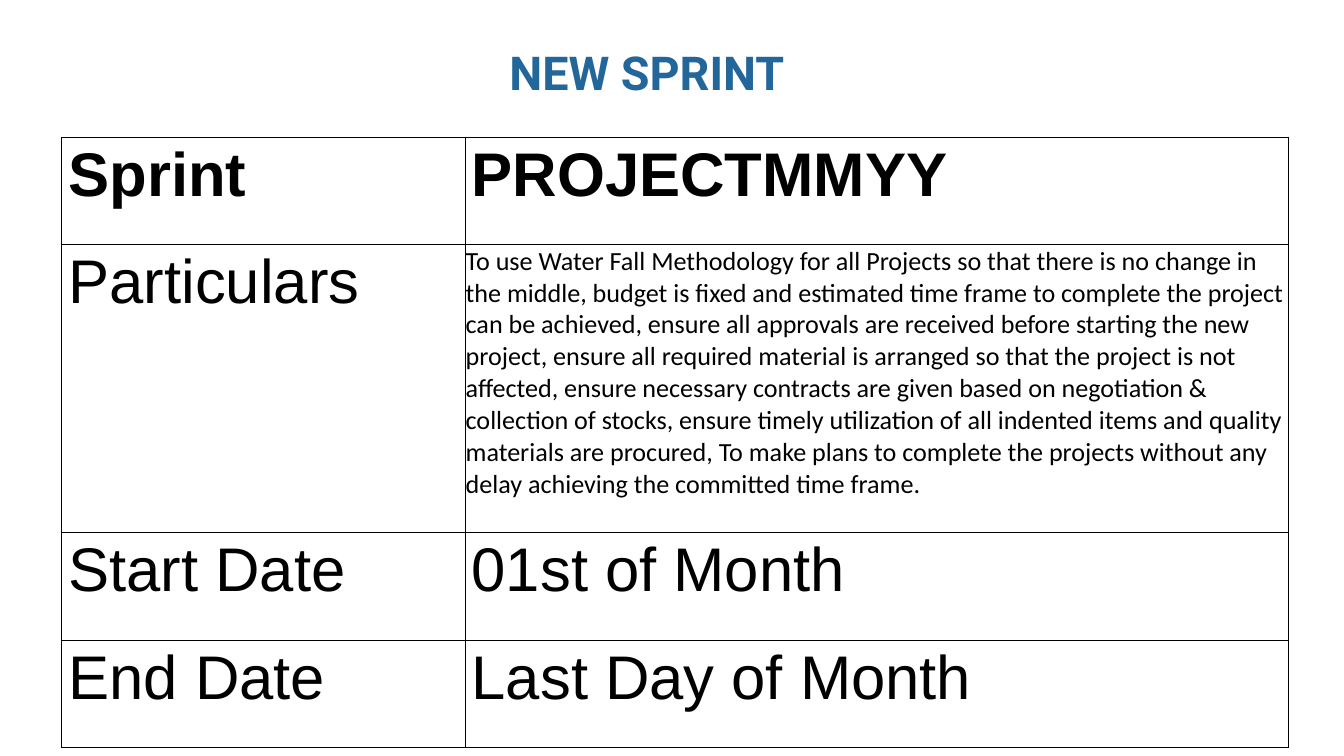
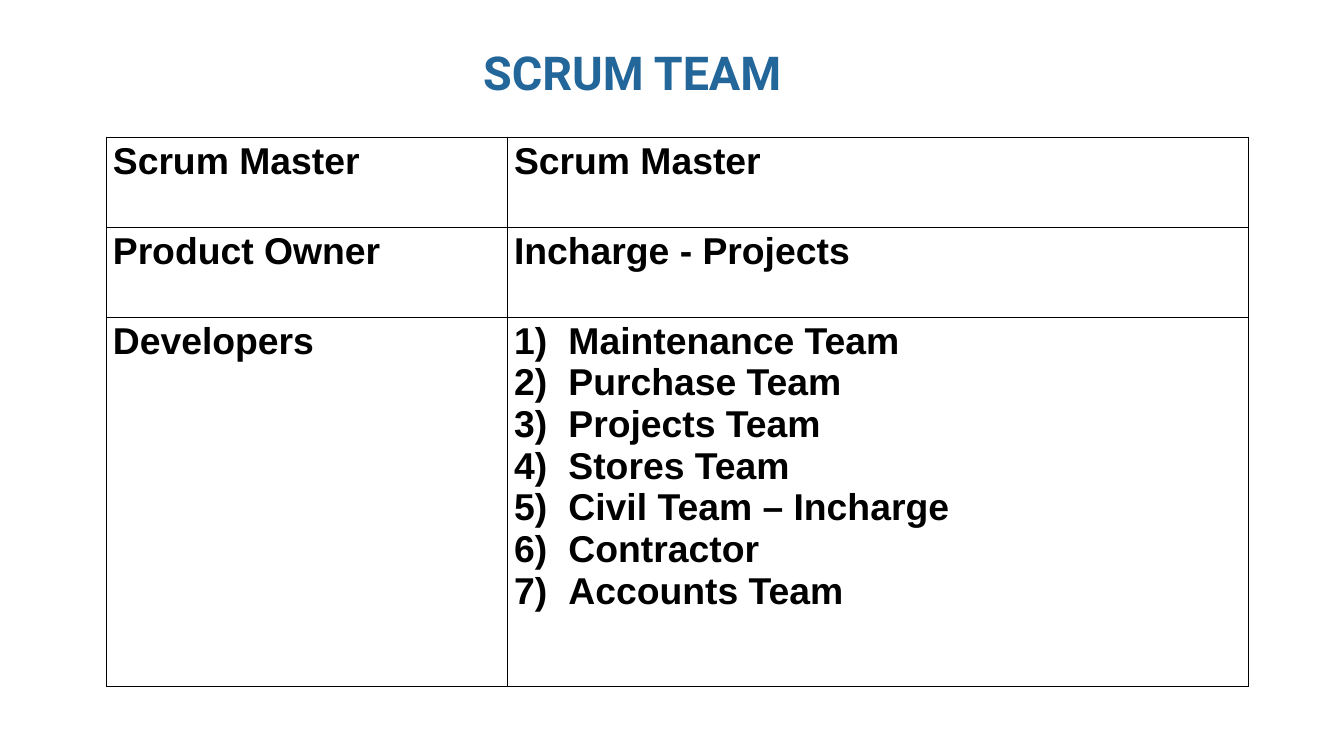
"""Build the sprint plan and scrum team slides."""
from dataclasses import dataclass

from lxml import etree
from pptx import Presentation
from pptx.dml.color import RGBColor
from pptx.enum.text import MSO_AUTO_SIZE
from pptx.oxml.ns import qn
from pptx.util import Inches, Pt

GROW = MSO_AUTO_SIZE.SHAPE_TO_FIT_TEXT


@dataclass(frozen=True)
class Theme:
    blue: RGBColor = RGBColor(0x23, 0x66, 0x99)
    black: RGBColor = RGBColor(0, 0, 0)
    white: RGBColor = RGBColor(255, 255, 255)
    title_font: str = "Roboto"
    table_font: str = "Arial"
    note_font: str = "Calibri"
    title_size: int = 50
    sprint_size: int = 66
    team_size: int = 40
    note_size: int = 28


theme = Theme()
prs = Presentation()
prs.slide_width, prs.slide_height = Inches(20), Inches(11.25)
COL, ROW = prs.slide_width / 100, prs.slide_height / 100
TITLE_TOP, TITLE_HEIGHT, TABLE_TOP = 5.78, 7.64, 18.13
INDENT = Inches(0.81)


def style(p, font, size, color, bold):
    for r in p.runs:
        r.font.name, r.font.size, r.font.bold = font, Pt(size), bold
        r.font.color.rgb = color


def frame_cell(cell):
    tcPr = cell._tc.get_or_add_tcPr()
    for side in ("lnL", "lnR", "lnT", "lnB"):
        ln = etree.SubElement(tcPr, qn(f"a:{side}"), w=str(Pt(1)))
        fill = etree.SubElement(ln, qn("a:solidFill"))
        etree.SubElement(fill, qn("a:srgbClr"), val=str(theme.black))
    cell.fill.solid()
    cell.fill.fore_color.rgb = theme.white


particulars = (
    "To use Water Fall Methodology for all Projects so that there is no change in the middle, "
    "budget is fixed and estimated time frame to complete the project can be achieved, "
    "ensure all approvals are received before starting the new project, "
    "ensure all required material is arranged so that the project is not affected, "
    "ensure necessary contracts are given based on negotiation & collection of stocks, "
    "ensure timely utilization of all indented items and quality materials are procured, "
    "To make plans to complete the projects without any delay achieving the committed time frame."
)
developers = ["Maintenance Team", "Purchase Team", "Projects Team", "Stores Team",
              "Civil Team – Incharge", "Contractor", "Accounts Team"]

pages = [
    dict(title="NEW SPRINT", title_left=37.9, title_width=26.15,
         left=4.6, cols=(30, 61.25), heights=(14.22, 38.13, 14.22, 14.22),
         size=theme.sprint_size, bold_rows=1,
         rows=[("Sprint", "PROJECTMMYY"), ("Particulars", particulars),
               ("Start Date", "01st of Month"), ("End Date", "Last Day of Month")]),
    dict(title="SCRUM TEAM", title_left=35.95, title_width=28.15,
         left=7.9, cols=(29.85, 55.15), heights=(11.91, 11.91, 48.8),
         size=theme.team_size, bold_rows=3,
         rows=[("Scrum Master", "Scrum Master"), ("Product Owner", "Incharge - Projects"),
               ("Developers", "\n".join(developers))]),
]

for page in pages:
    s = prs.slides.add_slide(prs.slide_layouts[6])
    sp = s.shapes.add_textbox(int(page["title_left"] * COL), int(TITLE_TOP * ROW),
                              int(page["title_width"] * COL), int(TITLE_HEIGHT * ROW))
    tf = sp.text_frame
    tf.word_wrap, tf.auto_size = True, GROW
    tf.margin_left = tf.margin_right = tf.margin_top = tf.margin_bottom = 0
    tf.text = page["title"]
    style(tf.paragraphs[0], theme.title_font, theme.title_size, theme.blue, True)

    cols, heights = page["cols"], page["heights"]
    table = s.shapes.add_table(len(heights), len(cols), int(page["left"] * COL),
                               int(TABLE_TOP * ROW), int(sum(cols) * COL),
                               int(sum(heights) * ROW)).table
    table.first_row = table.horz_banding = False
    for column, width in zip(table.columns, cols):
        column.width = int(width * COL)
    for row, height in zip(table.rows, heights):
        row.height = int(height * ROW)

    for i, texts in enumerate(page["rows"]):
        for j, text in enumerate(texts):
            cell = table.cell(i, j)
            frame_cell(cell)
            cell.text_frame.text = text
            font, size = theme.table_font, page["size"]
            if text == particulars:
                font, size = theme.note_font, theme.note_size
                cell.margin_left = cell.margin_right = cell.margin_top = Inches(0.01)
                cell.margin_bottom = 0
            paragraphs = cell.text_frame.paragraphs
            for p in paragraphs:
                if len(paragraphs) > 1:
                    pPr = p._p.get_or_add_pPr()
                    pPr.set("marL", str(INDENT))
                    pPr.set("indent", str(-INDENT))
                    etree.SubElement(pPr, qn("a:buFont"), typeface=theme.table_font)
                    etree.SubElement(pPr, qn("a:buAutoNum"), type="arabicParenR")
                style(p, font, size, theme.black, i < page["bold_rows"])

prs.save("out.pptx")
